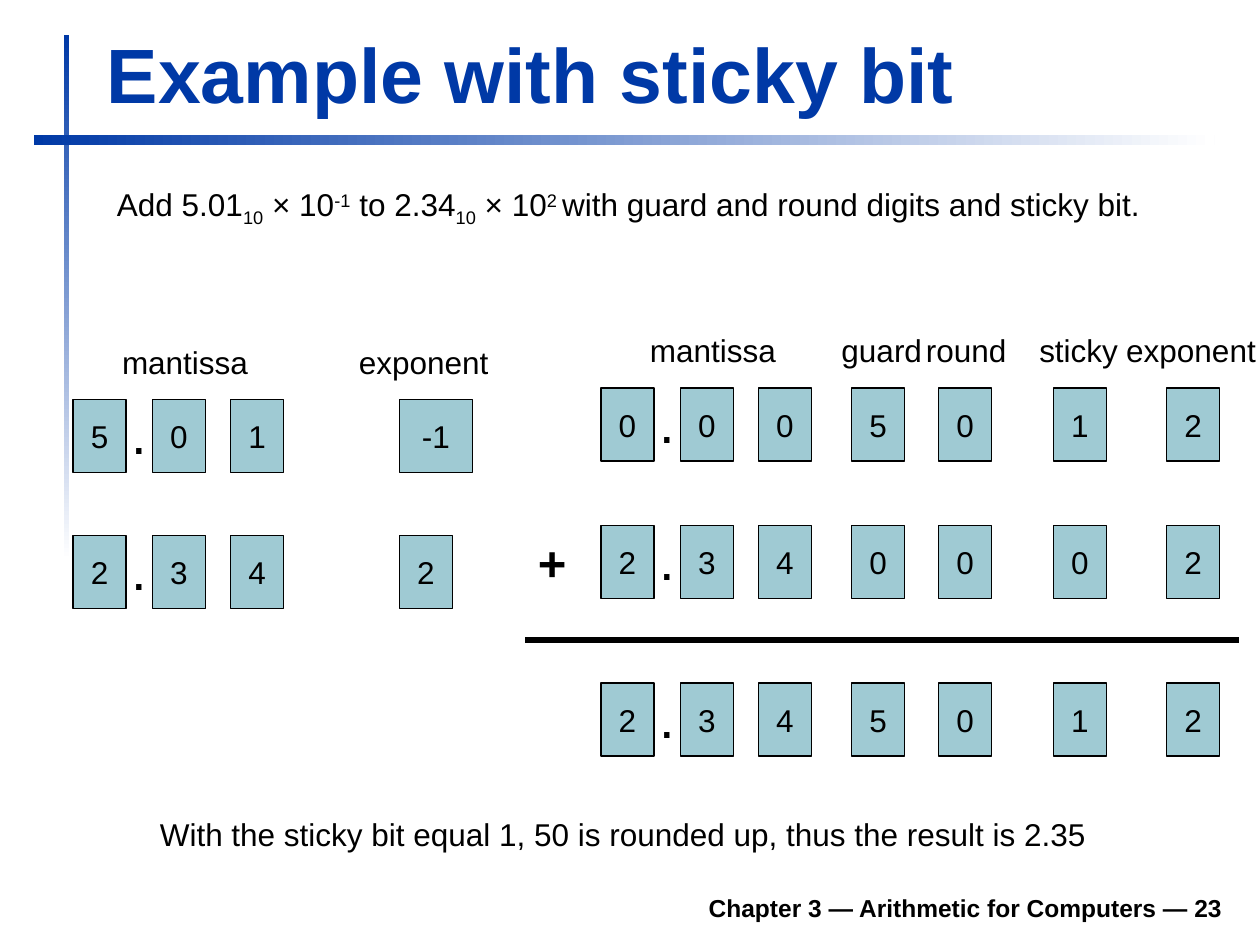
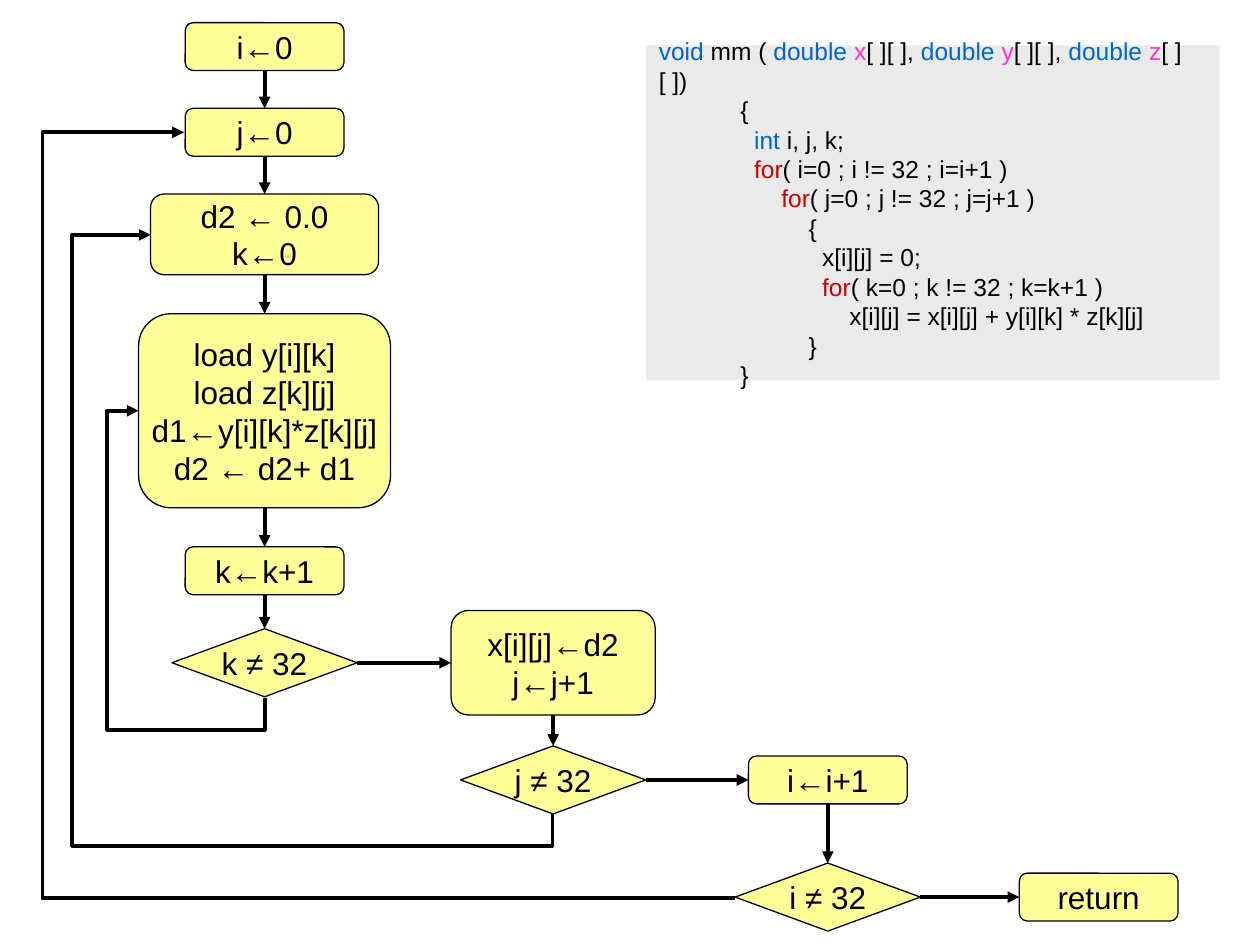
from lxml import etree
from pptx import Presentation
from pptx.dml.color import RGBColor
from pptx.enum.shapes import MSO_CONNECTOR as CONN, MSO_SHAPE as SHAPE
from pptx.enum.text import MSO_ANCHOR as ANCHOR, PP_ALIGN as ALIGN
from pptx.oxml.ns import qn
from pptx.util import Inches, Pt

COLORS = {
    "blue": "0039A6", "white": "FFFFFF", "black": "000000",
    "digit": "9FCAD3", "step": "FFFF99", "code": "EAEAEA",
    "type": "0066CC", "name": "FF33CC", "loop": "CC0000",
}
RGB = {k: RGBColor.from_string(v) for k, v in COLORS.items()}

prs = Presentation()
prs.slide_width, prs.slide_height = Inches(10), Inches(7.5)
blank = prs.slide_layouts[6]


def add_box(s, box, paras, shape=None, fill=None, line=True, size=18, bold=False,
            color="black", align=ALIGN.LEFT, anchor=ANCHOR.TOP, wrap=False):
    """Text box or filled shape; a paragraph is a string or a list of (text, colour, baseline)."""
    box = [Inches(v) for v in box]
    if shape is None:
        sp = s.shapes.add_textbox(*box)
    else:
        sp = s.shapes.add_shape(shape, *box)
        sp.shadow.inherit = False
        sp.fill.solid()
        sp.fill.fore_color.rgb = RGB[fill]
        if line:
            sp.line.color.rgb, sp.line.width = RGB["black"], Pt(0.75)
        else:
            sp.line.fill.background()
    tf = sp.text_frame
    tf.word_wrap, tf.vertical_anchor = wrap, anchor
    for i, runs in enumerate(paras):
        p = tf.add_paragraph() if i else tf.paragraphs[0]
        p.alignment = align
        for text, run_color, baseline in [(runs, color, 0)] if isinstance(runs, str) else runs:
            r = p.add_run()
            r.text = text
            for key, value in {"name": "Arial", "size": Pt(size), "bold": bold}.items():
                setattr(r.font, key, value)
            r.font.color.rgb = RGB[run_color]
            if baseline:
                r.font._element.set("baseline", str(baseline * 1000))
    return sp


def style_line(c, width, arrow=False):
    c.line.color.rgb, c.line.width = RGB["black"], Pt(width)
    if arrow:
        etree.SubElement(c.line._get_or_add_ln(), qn("a:tailEnd"), type="triangle")
    etree.SubElement(c._element.spPr, qn("a:effectLst"))


CENTERED = {"align": ALIGN.CENTER, "anchor": ANCHOR.MIDDLE}

# ---- Slide 1: example with sticky bit ----
s = prs.slides.add_slide(blank)

# Fading rules beside and below the title
for box, angle in [((0.51, 0.28, 0.04, 4.17), 270), ((0.27, 1.07, 9.37, 0.08), 0)]:
    sp = s.shapes.add_shape(SHAPE.RECTANGLE, *[Inches(v) for v in box])
    sp.shadow.inherit = False
    sp.line.fill.background()
    sp.fill.gradient()
    sp.fill.gradient_angle = angle
    for stop, color, position in zip(sp.fill.gradient_stops, ("blue", "white"), (0, 1)):
        stop.color.rgb, stop.position = RGB[color], position

# Title, footer and sentences
add_box(s, (0.75, 0.15, 9.03, 0.84), ["Example with sticky bit"], size=44, bold=True,
        color="blue", anchor=ANCHOR.BOTTOM, wrap=True)
add_box(s, (1.85, 6.98, 7.95, 0.39), ["Chapter 3 — Arithmetic for Computers — 23"],
        size=14, bold=True, align=ALIGN.RIGHT, anchor=ANCHOR.BOTTOM, wrap=True)
task = [("Add 5.01", 0), ("10", -25), (" × 10", 0), ("-1", 30), (" to 2.34", 0), ("10", -25),
        (" × 10", 0), ("2 ", 30), ("with guard and round digits and sticky bit.", 0)]
add_box(s, (0.83, 1.42, 8.78, 0.4), [[(t, "black", b) for t, b in task]])
add_box(s, (1.17, 6.42, 7.62, 0.4),
        ["With the sticky bit equal 1, 50 is rounded up, thus the result is 2.35"])

# Column labels
for text, x, y, w in [("mantissa", 0.87, 2.67, 1.21), ("exponent", 2.75, 2.67, 1.24),
                      ("mantissa", 5.06, 2.58, 1.21), ("guard", 6.58, 2.58, 0.85),
                      ("round", 7.25, 2.58, 0.85), ("sticky", 8.15, 2.58, 0.83),
                      ("exponent", 8.84, 2.58, 1.24)]:
    add_box(s, (x, y, w, 0.4), [text])

# Digit rows: operands on the left, aligned sum on the right
left_cols = [0.58, 1.21, 1.83, 3.17]
sum_cols = [4.77, 5.4, 6.02, 6.76, 7.45, 8.36, 9.26]
for cols, y, digits in [
    (left_cols, 3.17, ["5", "0", "1", "-1"]),
    (left_cols, 4.25, "2342"),
    (sum_cols, 3.08, "0005012"),
    (sum_cols, 4.17, "2340002"),
    (sum_cols, 5.42, "2345012"),
]:
    for x, digit in zip(cols, digits):
        w = 0.42 if len(digit) == 1 else 0.58
        add_box(s, (x, y, w, 0.58), [digit], SHAPE.RECTANGLE, "digit", **CENTERED)
    add_box(s, (cols[0] + 0.36, y - 0.06, 0.33, 0.64), ["."], size=32, **CENTERED)

# Plus sign and sum line
add_box(s, (4.17, 4.18, 0.43, 0.57), ["+"], size=28, bold=True)
c = s.shapes.add_connector(CONN.STRAIGHT, Inches(4.17), Inches(5.08), Inches(9.83), Inches(5.08))
style_line(c, 3)

# ---- Slide 2: matrix multiply flowchart ----
s = prs.slides.add_slide(blank)

# Steps and decisions: centre x, centre y, width, height, lines
SMALL, TEST = (1.26, 0.38), (1.47, 0.54)
steps = {
    "i0": (2.1, 0.37, *SMALL, ["i←0"]),
    "j0": (2.1, 1.05, *SMALL, ["j←0"]),
    "k0": (2.1, 1.86, 1.81, 0.64, ["d2 ← 0.0", "k←0"]),
    "body": (2.1, 3.26, 2, 1.54,
             ["load y[i][k]", "load z[k][j]", "d1←y[i][k]*z[k][j]", "d2 ← d2+ d1"]),
    "k+1": (2.1, 4.53, *SMALL, ["k←k+1"]),
    "k?": (2.1, 5.26, *TEST, ["k ≠ 32"]),
    "j+1": (4.39, 5.26, 1.62, 0.83, ["x[i][j]←d2", "j←j+1"]),
    "j?": (4.39, 6.19, *TEST, ["j ≠ 32"]),
    "i+1": (6.57, 6.19, *SMALL, ["i←i+1"]),
    "i?": (6.57, 7.12, *TEST, ["i ≠ 32"]),
    "return": (8.72, 7.12, *SMALL, ["return"]),
}
nodes = {}
for key, (cx, cy, w, h, lines) in steps.items():
    shape = SHAPE.FLOWCHART_DECISION if key.endswith("?") else SHAPE.ROUNDED_RECTANGLE
    nodes[key] = add_box(s, (cx - w / 2, cy - h / 2, w, h), lines, shape, "step", **CENTERED)

# Forward arrows: to the right after a test, otherwise downwards
keys = list(steps)
for a, b in zip(keys, keys[1:]):
    start, end = (3, 1) if a.endswith("?") else (2, 0)
    c = s.shapes.add_connector(CONN.STRAIGHT, 0, 0, 0, 0)
    c.begin_connect(nodes[a], start)
    c.end_connect(nodes[b], end)
    style_line(c, 2.25, arrow=True)

# Loops back: preset, frame, rotation, vertical flip, bend positions in percent
for preset, (x, y, w, h), turn, flip, bends in [
    ("bentConnector4", (0.46, 3.9, 2.28, 1), 270, "1", (-11, 125)),
    ("bentConnector4", (0.49, 2.57, 4.6, 3.19), 270, "1", (-5.4, 119.5)),
    ("bentConnector3", (1.46, 1.05, 4.37, 6.08), 180, "0", (125.7,)),
]:
    c = s.shapes.add_connector(CONN.ELBOW, Inches(x), Inches(y), Inches(x + w), Inches(y + h))
    xfrm = c._element.spPr.find(qn("a:xfrm"))
    xfrm.set("rot", str(turn * 60000))
    xfrm.set("flipV", flip)
    geom = c._element.spPr.find(qn("a:prstGeom"))
    geom.set("prst", preset)
    guides = geom.find(qn("a:avLst"))
    if guides is None:
        guides = etree.SubElement(geom, qn("a:avLst"))
    for i, bend in enumerate(bends, 1):
        etree.SubElement(guides, qn("a:gd"), name=f"adj{i}", fmla=f"val {round(bend * 1000)}")
    style_line(c, 2.25, arrow=True)

# Code panel: indent in characters, then coloured runs
code = [
    (0, [("void", "type"), (" mm ( ", "black"), ("double ", "type"), ("x", "name"),
         ("[ ][ ], ", "black"), ("double", "type"), (" y", "name"), ("[ ][ ], ", "black"),
         ("double", "type"), (" z", "name"), ("[ ][ ])", "black")]),
    (12, [("{", "black")]),
    (14, [("int ", "type"), ("i, j, k;", "black")]),
    (14, [("for", "loop"), ("( i=0 ; i != 32 ; i=i+1 )", "black")]),
    (18, [("for", "loop"), ("( j=0 ; j != 32 ; j=j+1 )", "black")]),
    (22, [("{", "black")]),
    (24, [("x[i][j] = 0;", "black")]),
    (24, [("for", "loop"), ("( k=0 ; k != 32 ; k=k+1 )", "black")]),
    (28, [("x[i][j] = x[i][j] + y[i][k] * z[k][j]", "black")]),
    (22, [("}", "black")]),
    (12, [("}", "black")]),
]
sp = add_box(s, (5.13, 0.36, 4.55, 2.66), [[(t, c, 0) for t, c in runs] for _, runs in code],
             SHAPE.RECTANGLE, "code", line=False, size=14, anchor=ANCHOR.MIDDLE, wrap=True)
for p, (indent, _) in zip(sp.text_frame.paragraphs, code):
    p._p.get_or_add_pPr().set("marL", str(Pt(indent * 3.89)))

prs.save("out.pptx")
